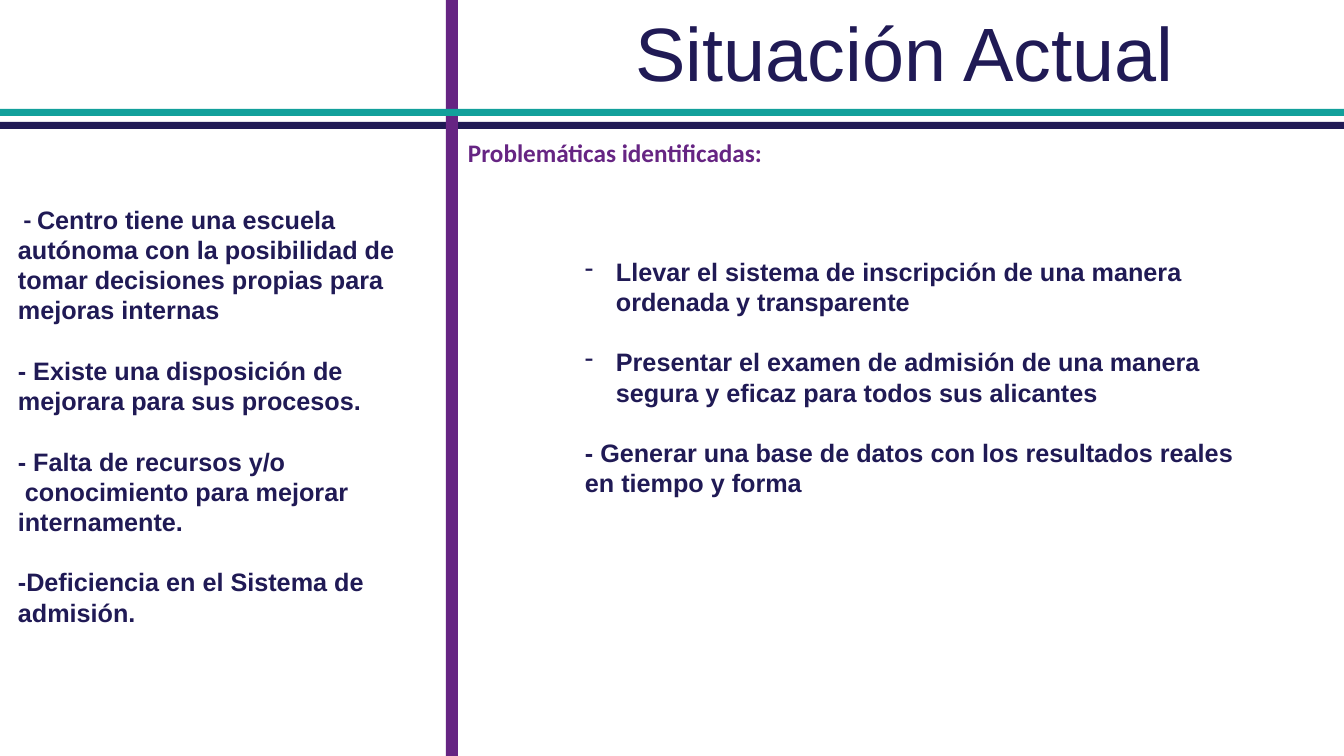
from pptx import Presentation, util as u
from pptx.dml.color import RGBColor
from pptx.enum import shapes, text
from pptx.oxml import parse_xml
from pptx.oxml.ns import nsdecls

NAVY, PURPLE, TEAL = "201A55", "662583", "12A09B"
WIDTH, HEIGHT = 1344, 756
LINE_GAP = 21.6
INDENT = 31

TITLE = "Situación Actual"
HEADING = "Problemáticas identificadas:"
SITUATION = [
    [(" - ", "Calibri"),
     ("Centro tiene una escuela autónoma con la posibilidad de tomar "
      "decisiones propias para mejoras internas", "Arial")],
    [("- Existe una disposición de mejorara para sus procesos.", "Arial")],
    [("- Falta de recursos y/o\v conocimiento para mejorar internamente.", "Arial")],
    [("-Deficiencia en el Sistema de admisión.", "Arial")],
]
PROBLEMS = [
    ("Llevar el sistema de inscripción de una manera ordenada y transparente", True),
    ("Presentar el examen de admisión de una manera segura y eficaz "
     "para todos sus alicantes", True),
    ("- Generar una base de datos con los resultados reales en tiempo y forma", False),
]
BARS = [
    (0, 122, WIDTH, 7, NAVY),
    (446, 0, 12, HEIGHT, PURPLE),
    (0, 109, WIDTH, 7, TEAL),
]


def px(length):
    return u.Emu(round(length * 914400 / 100.8))


def colour(value):
    return RGBColor.from_string(value)


def style(run, font, size, shade, bold):
    run.font.name = font
    run.font.size = u.Pt(size)
    run.font.bold = bold
    run.font.color.rgb = colour(shade)


def add_text(slide, place, paragraphs, size=18, shade=NAVY, bold=True, wrap=True):
    frame = slide.shapes.add_textbox(*map(px, place)).text_frame
    frame.word_wrap = wrap
    frame.auto_size = text.MSO_AUTO_SIZE.SHAPE_TO_FIT_TEXT
    for number, pieces in enumerate(paragraphs):
        paragraph = frame.add_paragraph() if number else frame.paragraphs[0]
        if number:
            paragraph.space_before = u.Pt(LINE_GAP)
        for wording, font in pieces:
            for part, line in enumerate(wording.split("\v")):
                if part:
                    paragraph.add_line_break()
                run = paragraph.add_run()
                run.text = line
                style(run, font, size, shade, bold)
    return frame


def add_dash(paragraph):
    properties = paragraph._p.get_or_add_pPr()
    properties.set("marL", str(px(INDENT)))
    properties.set("indent", str(-px(INDENT)))
    properties.append(parse_xml(f'<a:buFontTx {nsdecls("a")}/>'))
    properties.append(parse_xml(f'<a:buChar {nsdecls("a")} char="-"/>'))


def main():
    deck = Presentation()
    deck.slide_width, deck.slide_height = px(WIDTH), px(HEIGHT)
    slide = deck.slides.add_slide(deck.slide_layouts[6])

    for *place, shade in BARS:
        bar = slide.shapes.add_shape(shapes.MSO_SHAPE.RECTANGLE, *map(px, place))
        bar.shadow.inherit = False
        bar.fill.solid()
        bar.fill.fore_color.rgb = colour(shade)
        bar.line.fill.background()

    title = add_text(slide, (623, 1, 563, 102), [[(TITLE, "Arial")]],
                     size=54, bold=False, wrap=False)
    title.paragraphs[0].alignment = text.PP_ALIGN.CENTER
    add_text(slide, (8, 199, 429, 437), SITUATION)
    add_text(slide, (458, 132, 318, 40), [[(HEADING, "Calibri")]],
             shade=PURPLE, wrap=False)
    problems = add_text(slide, (575, 251, 683, 254),
                        [[(wording, "Arial")] for wording, _ in PROBLEMS])
    for paragraph, (_, dashed) in zip(problems.paragraphs, PROBLEMS):
        if dashed:
            add_dash(paragraph)

    deck.save("out.pptx")


if __name__ == "__main__":
    main()
